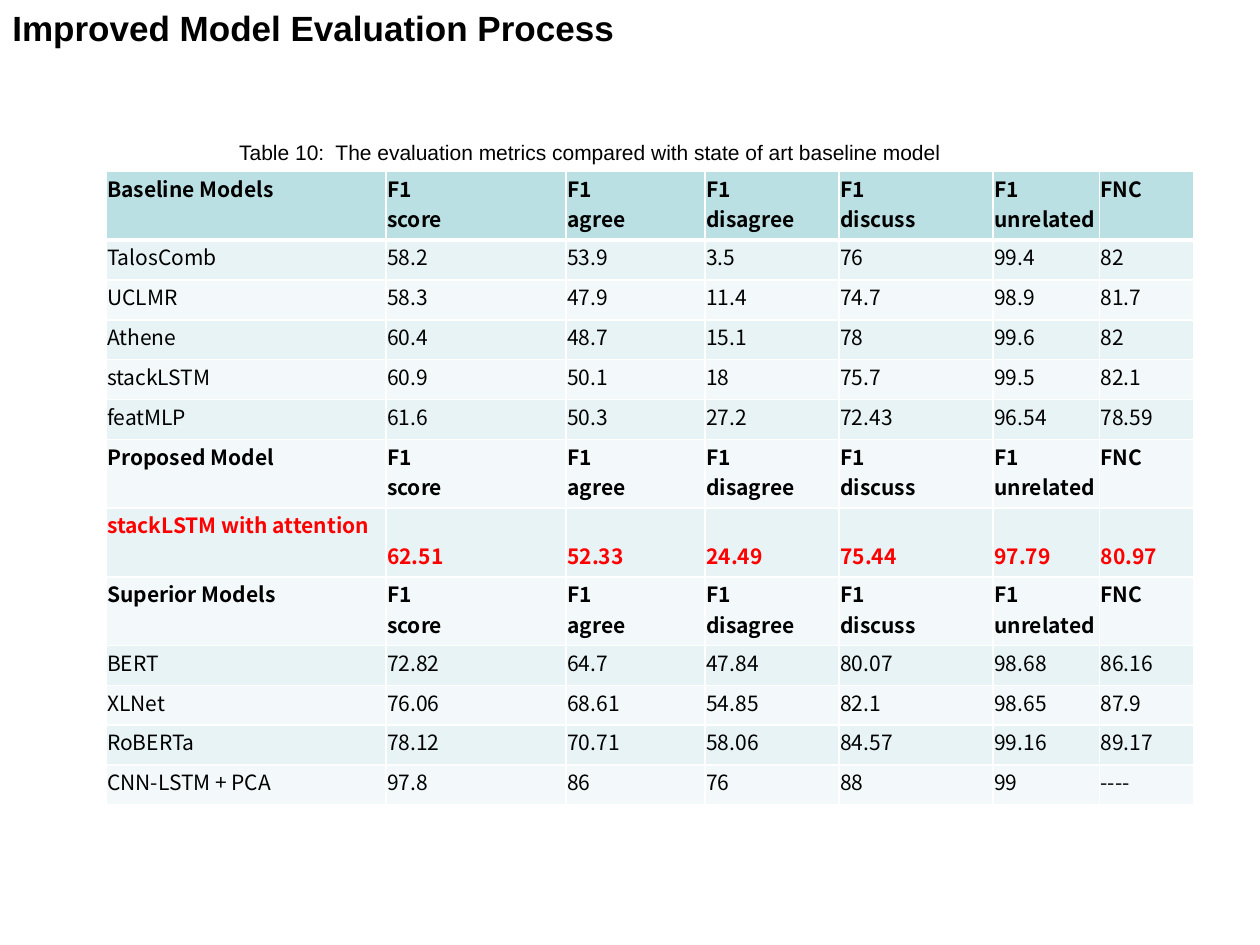
from lxml.etree import SubElement
from pptx import Presentation
from pptx.dml.color import RGBColor
from pptx.enum.text import MSO_ANCHOR, MSO_AUTO_SIZE
from pptx.oxml.ns import qn
from pptx.util import Pt

COLORS = {
    "text": "000000",
    "highlight": "FF0000",
    "border": "FFFFFF",
    "header": "BBE0E3",
    "odd": "E7F3F4",
    "even": "F3F9FA",
}
TABLE_FONT = "Noto Sans CJK SC"
METRICS = ["F1\nscore", "F1\nagree", "F1\ndisagree", "F1\ndiscuss", "F1\nunrelated", "FNC"]
COLUMN_WIDTHS = [160, 103, 79.4, 76.6, 88, 60.8, 54]
ROW_HEIGHTS = {"heading": 32.4, "highlight": 39.4, "model": 22.8}
ROWS = [
    ("heading", ["Baseline Models", *METRICS]),
    ("model", ["TalosComb", "58.2", "53.9", "3.5", "76", "99.4", "82"]),
    ("model", ["UCLMR", "58.3", "47.9", "11.4", "74.7", "98.9", "81.7"]),
    ("model", ["Athene", "60.4", "48.7", "15.1", "78", "99.6", "82"]),
    ("model", ["stackLSTM", "60.9", "50.1", "18", "75.7", "99.5", "82.1"]),
    ("model", ["featMLP", "61.6", "50.3", "27.2", "72.43", "96.54", "78.59"]),
    ("heading", ["Proposed Model", *METRICS]),
    ("highlight", ["stackLSTM with attention", "62.51", "52.33", "24.49", "75.44", "97.79", "80.97"]),
    ("heading", ["Superior Models", *METRICS]),
    ("model", ["BERT", "72.82", "64.7", "47.84", "80.07", "98.68", "86.16"]),
    ("model", ["XLNet", "76.06", "68.61", "54.85", "82.1", "98.65", "87.9"]),
    ("model", ["RoBERTa", "78.12", "70.71", "58.06", "84.57", "99.16", "89.17"]),
    ("model", ["CNN-LSTM + PCA", "97.8", "86", "76", "88", "99", "----"]),
]


def write_text(frame, text, size=12, font="Arial", color="text", bold=False):
    for index, line in enumerate(text.split("\n")):
        para = frame.add_paragraph() if index else frame.paragraphs[0]
        span = para.add_run()
        span.text = line
        span.font.size = Pt(size)
        span.font.name = font
        span.font.bold = bold
        span.font.color.rgb = RGBColor.from_string(COLORS[color])


def add_text(page, text, left, top, width, height, **text_format):
    box = page.shapes.add_textbox(Pt(left), Pt(top), Pt(width), Pt(height))
    box.text_frame.word_wrap = True
    box.text_frame.auto_size = MSO_AUTO_SIZE.SHAPE_TO_FIT_TEXT
    write_text(box.text_frame, text, **text_format)


def add_borders(cell, bottom_width):
    properties = cell._tc.get_or_add_tcPr()
    for side, width in (("L", 1), ("R", 1), ("T", 1), ("B", bottom_width)):
        line = SubElement(properties, qn(f"a:ln{side}"), w=str(Pt(width)))
        fill = SubElement(line, qn("a:solidFill"))
        SubElement(fill, qn("a:srgbClr"), val=COLORS["border"])


def format_cell(cell, fill, bottom_width):
    cell.margin_left = cell.margin_right = cell.margin_top = Pt(0.75)
    cell.margin_bottom = Pt(3.6)
    add_borders(cell, bottom_width)
    cell.fill.solid()
    cell.fill.fore_color.rgb = RGBColor.from_string(COLORS[fill])


def add_metrics_table(page, left, top):
    heights = [ROW_HEIGHTS[kind] for kind, _ in ROWS]
    table = page.shapes.add_table(
        len(ROWS), len(COLUMN_WIDTHS), Pt(left), Pt(top),
        Pt(sum(COLUMN_WIDTHS)), Pt(sum(heights)),
    ).table
    for column, width in zip(table.columns, COLUMN_WIDTHS):
        column.width = Pt(width)
    for row_index, (kind, values) in enumerate(ROWS):
        table.rows[row_index].height = Pt(heights[row_index])
        fill = "header" if row_index == 0 else "odd" if row_index % 2 else "even"
        color = "highlight" if kind == "highlight" else "text"
        for column_index, value in enumerate(values):
            cell = table.cell(row_index, column_index)
            format_cell(cell, fill, bottom_width=1 if row_index else 3)
            if kind == "highlight" and column_index:
                cell.vertical_anchor = MSO_ANCHOR.BOTTOM
            write_text(cell.text_frame, value, font=TABLE_FONT, color=color, bold=kind != "model")


def main():
    deck = Presentation()
    deck.slide_width, deck.slide_height = Pt(720), Pt(540)
    page = deck.slides.add_slide(deck.slide_layouts[6])
    add_metrics_table(page, 60.5, 98)
    add_text(page, "Table 10:  The evaluation metrics compared with state of art baseline model",
             129.6, 76.4, 428.4, 21.6)
    add_text(page, "Improved Model Evaluation Process", 0, 0, 494.6, 31.7, size=20, bold=True)
    deck.save("out.pptx")


if __name__ == "__main__":
    main()
